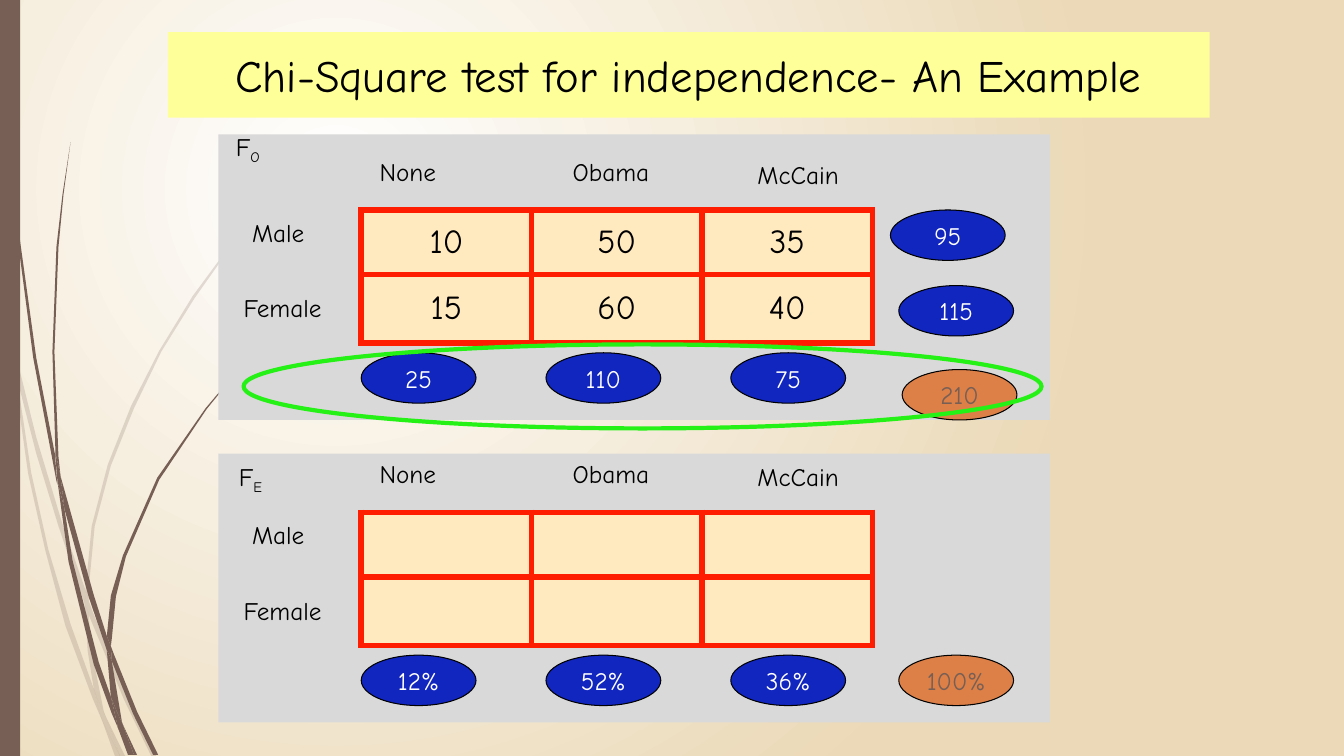
import pptx
import pptx.dml.color
import pptx.enum.shapes
import pptx.enum.text
import pptx.oxml
import pptx.oxml.ns
import pptx.util
from lxml import etree

Pt = pptx.util.Pt
RGB = pptx.dml.color.RGBColor.from_string
SHAPE = pptx.enum.shapes.MSO_SHAPE
ALIGN = pptx.enum.text.PP_ALIGN
qn = pptx.oxml.ns.qn

THEME = {
    "font": "Comic Neue",
    "title_size": 32, "cell_size": 24, "label_size": 18,
    "black": "000000", "white": "FFFFFF", "sand": "EBD9B7", "brown": "775F55",
    "panel": "D9D9D9", "cell": "FFE9BF", "border": "FF1D01", "title": "FFFF99",
    "blue": "1125BF", "orange": "DD8047", "green": "25F116",
}


def write_text(frame, text, size="label_size", color="black", align=ALIGN.LEFT, subscript=""):
    paragraph = frame.paragraphs[0]
    paragraph.alignment = align
    for part, offset in ((text, None), (subscript, "-25000")):
        if not part:
            continue
        run = paragraph.add_run()
        run.text = part
        run.font.name = THEME["font"]
        run.font.size = Pt(THEME[size])
        run.font.color.rgb = RGB(THEME[color])
        if offset:
            run._r.get_or_add_rPr().set("baseline", offset)


def add_shape(kind, left, top, width, height, fill=None, line=None, line_width=0.75):
    shape = slide.shapes.add_shape(kind, Pt(left), Pt(top), Pt(width), Pt(height))
    shape.shadow.inherit = False
    if fill:
        shape.fill.solid()
        shape.fill.fore_color.rgb = RGB(THEME[fill])
    else:
        shape.fill.background()
    if line:
        shape.line.color.rgb = RGB(THEME[line])
        shape.line.width = Pt(line_width)
    else:
        shape.line.fill.background()
    return shape


presentation = pptx.Presentation()
presentation.slide_width, presentation.slide_height = Pt(960), Pt(540)
slide = presentation.slides.add_slide(presentation.slide_layouts[6])

# Background: radial gradient, centred in the upper left
background = slide.background.fill
background.gradient()
for stop, color in zip(background.gradient_stops, ("white", "sand")):
    stop.color.rgb = RGB(THEME[color])
gradient = slide._element.find(".//" + qn("a:gradFill"))
gradient.remove(gradient.find(qn("a:lin")))
radial = etree.SubElement(gradient, qn("a:path"), path="circle")
etree.SubElement(radial, qn("a:fillToRect"), l="50000", t="50000", r="100000", b="100000")

# Grass blades: outlines in hundredths of an inch
PALE_BLADES = [
    [(11, 350), (9, 322), (0, 282), (0, 299), (10, 344)],
    [(58, 522), (84, 599), (85, 586), (62, 520), (36, 434), (14, 345), (17, 376), (36, 450)],
    [(92, 607), (88, 596), (88, 610), (123, 694), (150, 750), (155, 750), (127, 692)],
    [(119, 750), (124, 750), (105, 711)],
    [(93, 683), (70, 619), (48, 545), (31, 469), (17, 376), (11, 350), (28, 470),
     (45, 546), (65, 621), (92, 693), (101, 714), (99, 707)],
    [(84, 599), (87, 646), (93, 683), (96, 692), (105, 711), (103, 706), (91, 646),
     (88, 610), (88, 608)],
    [(88, 584), (94, 522), (110, 462), (133, 405), (160, 349), (193, 296), (229, 245),
     (268, 198), (290, 175), (312, 154), (312, 153), (289, 175), (268, 197), (228, 244),
     (191, 294), (158, 348), (130, 403), (107, 461), (91, 522), (85, 584), (85, 586), (88, 596)],
    [(101, 714), (114, 750), (119, 750)],
    [(88, 608), (88, 610), (88, 596), (85, 586), (84, 599)],
    [(96, 692), (93, 683), (99, 707), (101, 714), (119, 750), (105, 711)],
]
DARK_BLADES = [
    [(7, 110), (17, 233), (33, 355), (56, 477), (57, 481), (55, 457), (55, 453), (36, 355),
     (19, 232), (8, 109), (5, 48), (4, 0), (3, 0), (4, 48)],
    [(88, 592), (106, 645), (106, 633), (106, 631), (93, 590), (60, 472), (64, 505)],
    [(113, 649), (110, 641), (111, 656), (132, 708), (152, 749), (157, 749), (136, 706)],
    [(110, 691), (98, 657), (72, 556), (64, 505), (57, 477), (68, 557), (93, 659),
     (111, 708), (117, 722), (116, 717)],
    [(60, 472), (58, 453), (54, 349), (58, 245), (63, 193), (70, 141), (62, 193),
     (56, 245), (52, 349), (55, 449)],
    [(133, 749), (136, 749), (122, 719)],
    [(57, 477), (64, 505), (60, 472), (55, 449), (55, 453)],
    [(111, 633), (115, 592), (125, 552), (158, 476), (205, 406), (231, 374), (245, 359),
     (261, 344), (260, 344), (245, 358), (231, 373), (204, 405), (156, 474), (122, 551),
     (110, 591), (106, 631), (110, 641)],
    [(117, 722), (127, 749), (131, 749)],
    [(106, 645), (110, 691), (116, 706), (122, 719), (121, 716), (111, 656), (109, 651)],
    [(106, 645), (109, 651), (111, 656), (110, 641), (106, 631), (106, 633)],
    [(116, 706), (110, 691), (116, 717), (117, 722), (130, 749), (133, 749), (122, 719)],
]
for blades, opacity in ((PALE_BLADES, "20000"), (DARK_BLADES, "100000")):
    group = slide.shapes.add_group_shape()
    for start, *points in blades:
        builder = group.shapes.build_freeform(*start, scale=Pt(0.72))
        builder.add_line_segments(points, close=True)
        blade = builder.convert_to_shape()
        blade.shadow.inherit = False
        blade.line.fill.background()
        blade.fill.solid()
        blade.fill.fore_color.rgb = RGB(THEME["brown"])
        color_element = blade._element.spPr.find(".//" + qn("a:srgbClr"))
        etree.SubElement(color_element, qn("a:alpha"), val=opacity)

# Left band
add_shape(SHAPE.RECTANGLE, 0, 0, 14.4, 540, fill="brown")

# Observed and expected panels; circles hold text, left, offset from table top, fill
PANELS = [
    {"top": 96, "height": 204, "table_top": 150, "letter": "O", "letter_at": (150, 90),
     "values": [["10", "50", "35"], ["15", "60", "40"]],
     "column_totals": ["25", "110", "75"],
     "other_totals": [("95", 636, 0, "blue"), ("115", 642, 54, "blue"),
                      ("210", 644.4, 114, "orange")]},
    {"top": 324, "height": 192, "table_top": 366, "letter": "E", "letter_at": (152, 326),
     "values": [["", "", ""], ["", "", ""]],
     "column_totals": ["12%", "52%", "36%"],
     "other_totals": [("100%", 642, 102, "orange")]},
]
for panel in PANELS:
    table_top = panel["table_top"]
    add_shape(SHAPE.RECTANGLE, 156, panel["top"], 594, panel["height"], fill="panel")

    # Table with red borders
    table = slide.shapes.add_table(2, 3, Pt(258), Pt(table_top), Pt(365.1), Pt(95)).table
    table.first_row = table.horz_banding = False
    for column in table.columns:
        column.width = Pt(121.7)
    for row, height, values in zip(table.rows, (46, 49), panel["values"]):
        row.height = Pt(height)
        for cell, value in zip(row.cells, values):
            cell.vertical_anchor = pptx.enum.text.MSO_ANCHOR.MIDDLE
            properties = cell._tc.get_or_add_tcPr()
            for side in ("a:lnL", "a:lnR", "a:lnT", "a:lnB"):
                border = etree.SubElement(properties, qn(side), w=str(Pt(4.5)))
                border_fill = etree.SubElement(border, qn("a:solidFill"))
                etree.SubElement(border_fill, qn("a:srgbClr"), val=THEME["border"])
            cell.fill.solid()
            cell.fill.fore_color.rgb = RGB(THEME["cell"])
            write_text(cell.text_frame, value, size="cell_size", align=ALIGN.CENTER)

    # Row and column labels, and the panel symbol
    labels = [
        ("Male", 173, table_top + 1.5, 109, ALIGN.LEFT, ""),
        ("Female", 167, table_top + 55.5, 109, ALIGN.LEFT, ""),
        ("None", 264, table_top - 42, 76, ALIGN.LEFT, ""),
        ("Obama", 402, table_top - 42, 158, ALIGN.LEFT, ""),
        ("McCain", 534, table_top - 40, 153, ALIGN.LEFT, ""),
        ("F", *panel["letter_at"], 54, ALIGN.CENTER, panel["letter"]),
    ]
    for text, left, top, width, align, subscript in labels:
        label = slide.shapes.add_textbox(Pt(left), Pt(top), Pt(width), Pt(29))
        label.text_frame.word_wrap = True
        write_text(label.text_frame, text, align=align, subscript=subscript)

    # Totals
    totals = [(text, 258 + 132 * index, 102, "blue")
              for index, text in enumerate(panel["column_totals"])]
    for text, left, offset, fill in totals + panel["other_totals"]:
        circle = add_shape(SHAPE.OVAL, left, table_top + offset, 82, 36, fill=fill, line="black")
        circle.text_frame.word_wrap = False
        write_text(circle.text_frame, text, align=ALIGN.CENTER,
                   color="white" if fill == "blue" else "brown")

# Highlight around the observed column totals
add_shape(SHAPE.OVAL, 174, 246, 570, 60, line="green", line_width=3)

# Title
title = add_shape(SHAPE.RECTANGLE, 120, 23, 744, 61, fill="title")
title.text_frame.word_wrap = True
write_text(title.text_frame, "Chi-Square test for independence- An Example",
           size="title_size", align=ALIGN.CENTER)

presentation.save("out.pptx")
